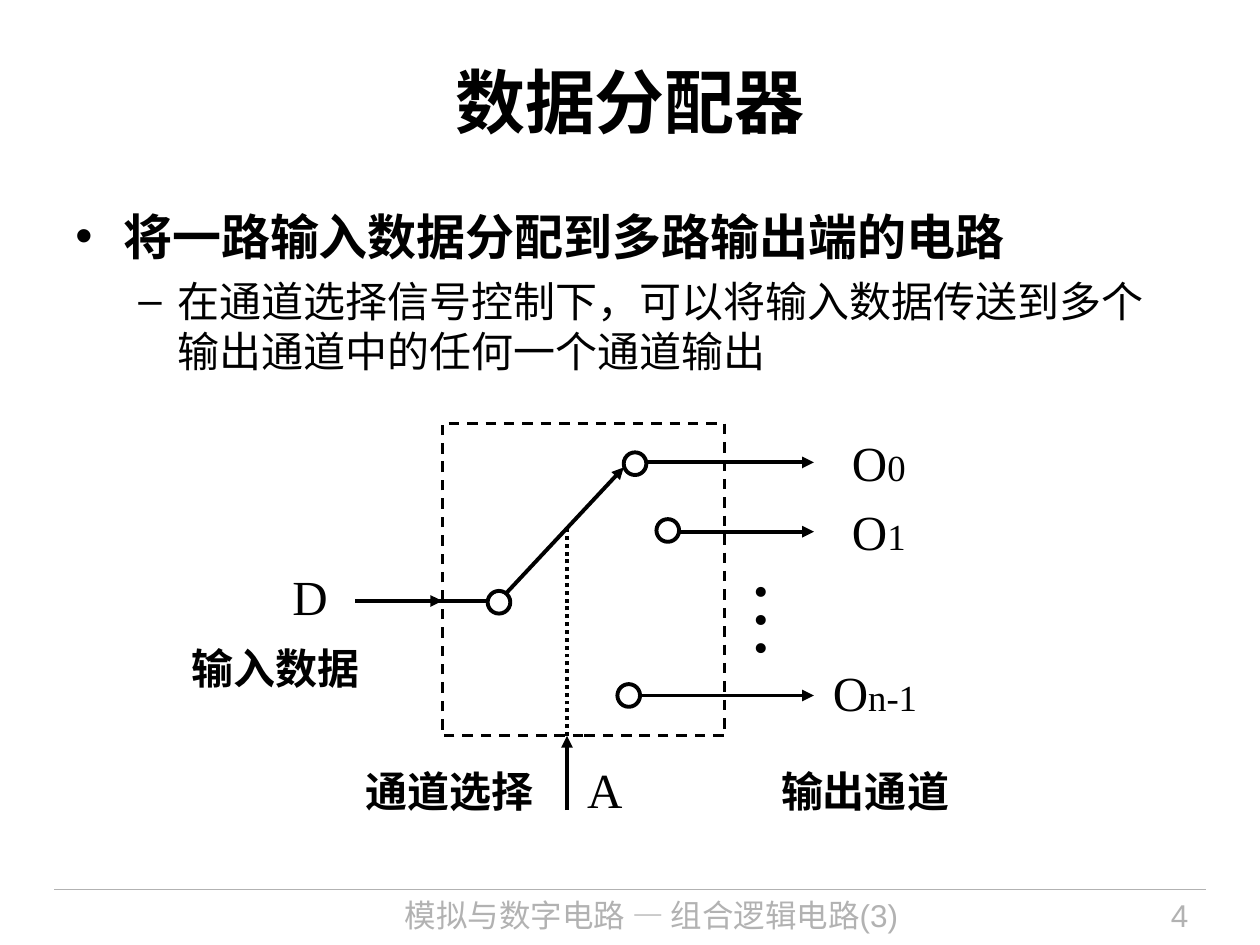
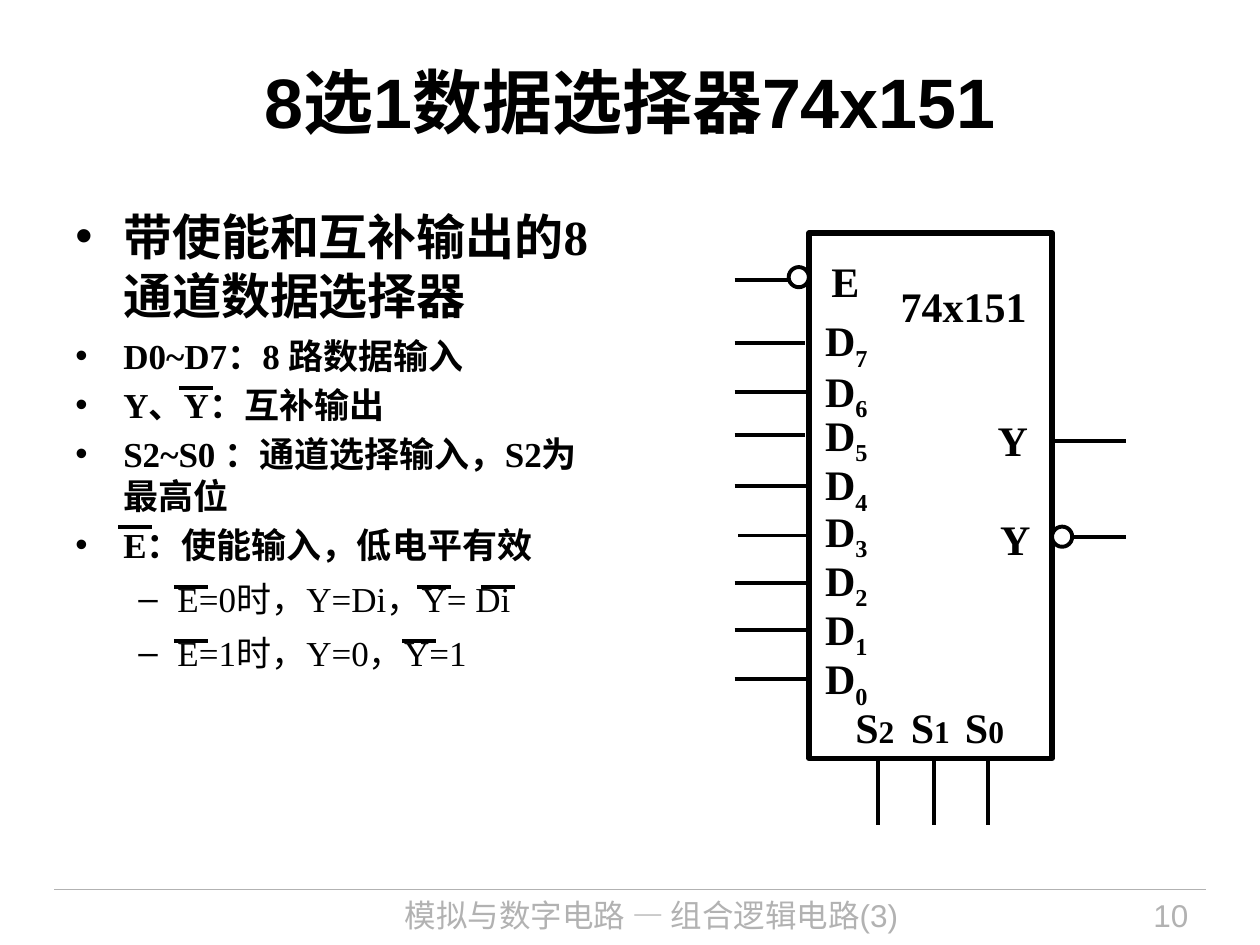
import pptx
import pptx.util
import pptx.dml.color
import pptx.enum.dml
import pptx.enum.shapes
import pptx.enum.text
import pptx.oxml.ns
from lxml import etree

PX = 9144
BLACK = pptx.dml.color.RGBColor(0x00, 0x00, 0x00)
WHITE = pptx.dml.color.RGBColor(0xFF, 0xFF, 0xFF)
GREY = pptx.dml.color.RGBColor(0xB2, 0xB2, 0xB2)
SANS = "Arial"
SERIF = "Times New Roman"
ALIGN = pptx.enum.text.PP_ALIGN
DASH = pptx.enum.dml.MSO_LINE
SHAPE = pptx.enum.shapes.MSO_SHAPE
FIT = pptx.enum.text.MSO_AUTO_SIZE
MIDDLE = pptx.enum.text.MSO_ANCHOR.MIDDLE
qn = pptx.oxml.ns.qn


def add_text(s, box, runs, size=24, name=SERIF, bold=False, color=BLACK,
             align=ALIGN.LEFT, inset=True, **frame):
    sp = s.shapes.add_textbox(*[v * PX for v in box])
    tf = sp.text_frame
    settings = {"word_wrap": False, "auto_size": FIT.SHAPE_TO_FIT_TEXT, **frame}
    if not inset:
        for side in ("left", "right", "top", "bottom"):
            settings["margin_" + side] = 0
    for key, value in settings.items():
        setattr(tf, key, value)
    p = tf.paragraphs[0]
    p.alignment = align
    for text, run_size, baseline in runs:
        r = p.add_run()
        r.text = text
        for key, value in {"name": name, "size": pptx.util.Pt(run_size or size), "bold": bold}.items():
            setattr(r.font, key, value)
        r.font.color.rgb = color
        if baseline:
            r._r.get_or_add_rPr().set("baseline", str(baseline))
    return sp


def add_line(s, x1, y1, x2, y2, width=2.25, color=BLACK, dash=None, arrow=False):
    c = s.shapes.add_connector(pptx.enum.shapes.MSO_CONNECTOR.STRAIGHT,
                               x1 * PX, y1 * PX, x2 * PX, y2 * PX)
    c.line.width = pptx.util.Pt(width)
    c.line.color.rgb = color
    if dash:
        c.line.dash_style = dash
    if arrow:
        etree.SubElement(c.line._get_or_add_ln(), qn("a:tailEnd"), type="triangle")
    etree.SubElement(c._element.spPr, qn("a:effectLst"))


prs = pptx.Presentation()
prs.slide_width = 1000 * PX
prs.slide_height = 750 * PX

LEVELS = {
    "•": {"marL": 38, "indent": -38},
    "–": {"marL": 81, "indent": -31, "lvl": 1},
}
pages = [
    ("数据分配器", "4", (50, 159, 900, 157), [
        ("•", 28, True, 0, "将一路输入数据分配到多路输出端的电路"),
        ("–", 24, False, 0, "在通道选择信号控制下，可以将输入数据传送到多个输出通道中的任何一个通道输出"),
    ]),
    ("8选1数据选择器74x151", "10", (50, 159, 438, 539), [
        ("•", 28, True, 0, "带使能和互补输出的8通道数据选择器"),
        ("•", 20, True, 0, "D0~D7：8 路数据输入"),
        ("•", 20, True, 0, "Y、Y：互补输出"),
        ("•", 20, True, 0, "S2~S0 ：通道选择输入，S2为最高位"),
        ("•", 20, True, 0, "E：使能输入，低电平有效"),
        ("–", 20, False, 3, "E=0时，Y=Di，Y= Di"),
        ("–", 20, False, 3, "E=1时，Y=0，Y=1"),
    ]),
]
fixed = {"word_wrap": True, "auto_size": FIT.NONE}
for title, number, box, items in pages:
    s = prs.slides.add_slide(prs.slide_layouts[6])
    add_line(s, 43, 706, 957, 706, 0.75, GREY)
    add_text(s, (249, 706, 536, 44), [("模拟与数字电路 — 组合逻辑电路(3)", None, 0)],
             18, SANS, color=GREY, align=ALIGN.CENTER, **fixed)
    add_text(s, (820, 706, 133, 44), [(number, None, 0)],
             18, SANS, color=GREY, align=ALIGN.RIGHT, **fixed)
    add_text(s, (50, 17, 900, 125), [(title, None, 0)], 40, SANS, True,
             align=ALIGN.CENTER, vertical_anchor=MIDDLE, **fixed)
    tf = add_text(s, box, [], **fixed).text_frame
    for i, (bullet, size, bold, before, text) in enumerate(items):
        p = tf.add_paragraph() if i else tf.paragraphs[0]
        pPr = p._p.get_or_add_pPr()
        for key, value in LEVELS[bullet].items():
            pPr.set(key, str(value if key == "lvl" else value * PX))
        etree.SubElement(pPr, qn("a:buFont"), typeface=SANS)
        etree.SubElement(pPr, qn("a:buChar"), char=bullet)
        p.space_before = pptx.util.Pt(before)
        p.space_after = pptx.util.Pt(size * 0.2)
        r = p.add_run()
        r.text = text
        for key, value in {"name": SERIF, "size": pptx.util.Pt(size), "bold": bold}.items():
            setattr(r.font, key, value)
        r.font.color.rgb = BLACK

s, chip = prs.slides

for x1, y1, x2, y2 in [(282, 477, 351, 477), (396, 477, 495, 371), (513, 367, 646, 367),
                       (539, 422, 646, 422), (504, 552, 646, 552), (450, 643, 450, 584)]:
    add_line(s, x1, y1, x2, y2, arrow=True)
add_line(s, 347, 477, 388, 477)
add_line(s, 450, 584, 450, 418, dash=DASH.ROUND_DOT)

for page, shape, box, fill, width, dash in [
    (s, SHAPE.OVAL, (521, 412, 18, 18), WHITE, 2.25, None),
    (s, SHAPE.OVAL, (387, 469, 18, 18), WHITE, 2.25, None),
    (s, SHAPE.OVAL, (495, 359, 18, 18), WHITE, 2.25, None),
    (s, SHAPE.OVAL, (490, 543, 18, 18), WHITE, 2.25, None),
    (s, SHAPE.RECTANGLE, (351, 336, 224, 248), None, 1.5, DASH.DASH),
    (chip, SHAPE.RECTANGLE, (642, 185, 193, 417), None, 3, None),
    (chip, SHAPE.OVAL, (835, 418, 16, 16), WHITE, 2.25, None),
    (chip, SHAPE.OVAL, (626, 212, 16, 16), WHITE, 2.25, None),
]:
    sp = page.shapes.add_shape(shape, *[v * PX for v in box])
    sp.shadow.inherit = False
    if fill:
        sp.fill.solid()
        sp.fill.fore_color.rgb = fill
    else:
        sp.fill.background()
    sp.line.color.rgb = BLACK
    sp.line.width = pptx.util.Pt(width)
    if dash:
        sp.line.dash_style = dash

for sub, x, y, w in [("0", 676, 343, 43), ("1", 676, 398, 43), ("n-1", 661, 526, 67)]:
    add_text(s, (x, y, w, 47), [("O", None, 0), (sub, 21, 0)], 28,
             align=ALIGN.CENTER, inset=False)
add_text(s, (466, 603, 32, 47), [("A", None, 0)], 28, inset=False, word_wrap=True)
add_text(s, (232, 450, 28, 47), [("D", None, 0)], 28, inset=False)
add_text(s, (584, 448, 87, 90), [("…", None, 0)], 48).rotation = 90
for text, x, y, w in [("输入数据", 142, 505, 165), ("通道选择", 280, 603, 169),
                      ("输出通道", 610, 603, 165)]:
    add_text(s, (x, y, w, 50), [(text, None, 0)], name=SANS, bold=True, word_wrap=True)

s = chip
data_pins = [(245, 272, 583, 639), (285, 311, 583, 642), (320, 345, 583, 639),
             (359, 386, 583, 642), (396, 425, 586, 642), (435, 463, 583, 642),
             (474, 500, 583, 642), (513, 539, 583, 642)]
for i, (top, y, x1, x2) in enumerate(data_pins):
    add_text(s, (645, top, 55, 50), [("D", None, 0), (str(7 - i), None, -25000)], bold=True)
    add_line(s, x1, y, x2, y)
for i, x in enumerate((669, 713, 756)):
    add_text(s, (x, 552, 51, 50), [("S", None, 0), (str(2 - i), 18, 0)], bold=True)
    add_line(s, x + 28, 602, x + 28, 655)
for x1, y, x2 in [(835, 350, 894), (851, 426, 894), (583, 222, 626)]:
    add_line(s, x1, y, x2, y)
for text, x, y, w, wrap in [("Y", 782, 324, 44, False), ("Y", 784, 403, 47, True),
                            ("74x151", 705, 218, 120, False), ("E", 650, 198, 42, False)]:
    add_text(s, (x, y, w, 50), [(text, None, 0)], bold=True, word_wrap=wrap)
for x, y in [(142, 308), (94, 418), (138, 466), (331, 466), (382, 466), (138, 509), (319, 509)]:
    add_line(s, x, y, x + 27, y)

prs.save("out.pptx")
